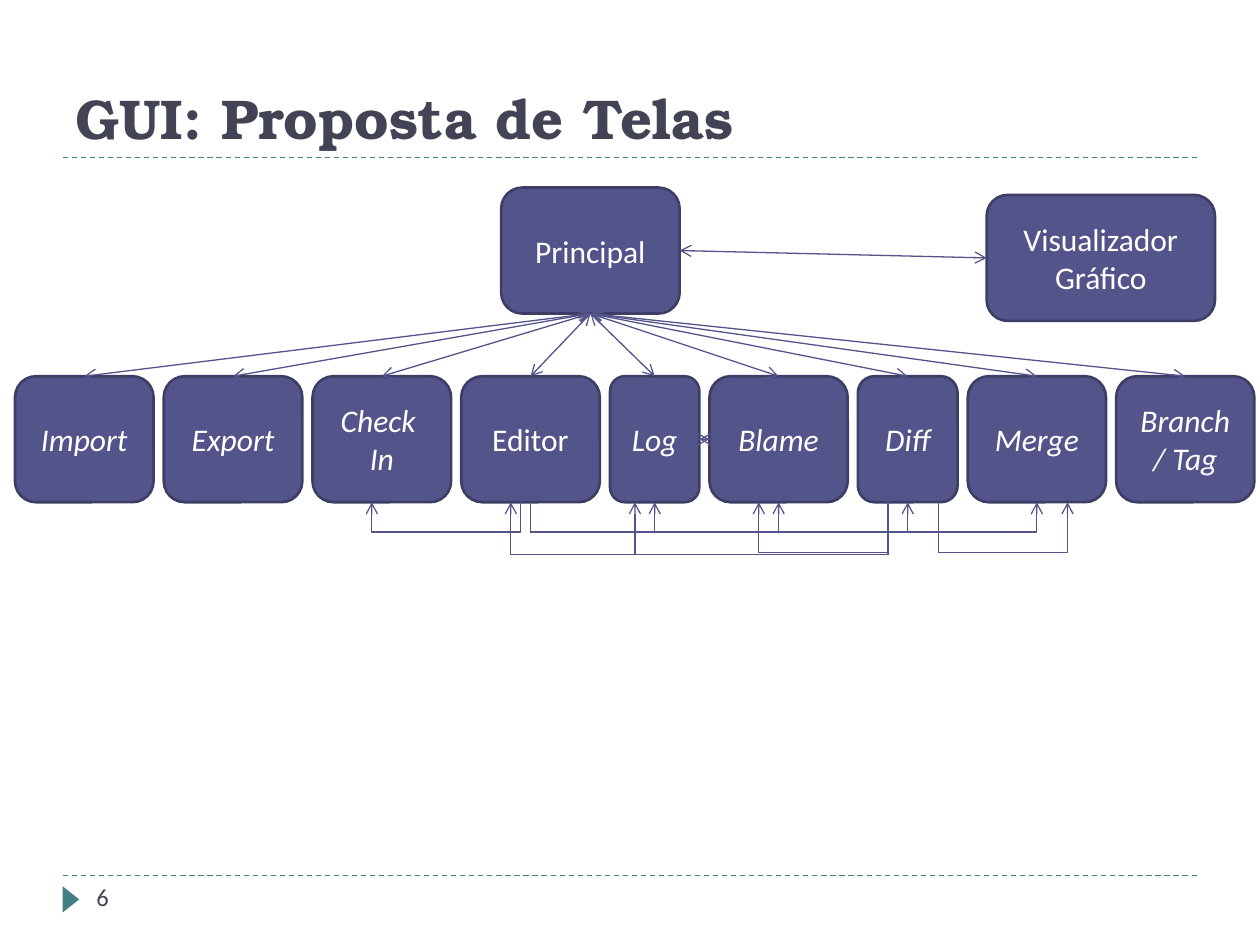
from lxml import etree
from pptx import Presentation
from pptx.dml.color import RGBColor
from pptx.enum import dml, shapes, text
from pptx.oxml import ns
from pptx.util import Pt

INDIGO, EDGE, TEAL, SLATE, WHITE = "53548A", "3D3E66", "438086", "424456", "FFFFFF"
TITLE = "GUI: Proposta de Telas"
PAGE_NUMBER = "6"

# name, text, width, italic
SCREENS = [
    ("import", "Import", 79.2, True),
    ("export", "Export", 79.2, True),
    ("check in", "Check \nIn", 79.2, True),
    ("editor", "Editor", 79.2, False),
    ("log", "Log", 51, True),
    ("blame", "Blame", 79, True),
    ("diff", "Diff", 57, True),
    ("merge", "Merge", 79, True),
    ("branch", "Branch/ Tag", 79, True),
]
ROW_LEFT, ROW_TOP, ROW_GAP, BOX_HEIGHT = 8.6, 215, 5.8, 72
MAIN_BOX = (286.4, 107.2, 102, BOX_HEIGHT)
VIEWER_BOX = (563.8, 111.4, 130.5, BOX_HEIGHT)

# start screen, offset from its centre, end screen, offset, drop below the row
ELBOWS = [
    ("editor", -5.7, "check in", -5.7, 18),
    ("editor", 0, "log", 0, 18),
    ("editor", 0, "blame", 0, 18),
    ("editor", 0, "diff", 0, 18),
    ("editor", 0, "merge", 0, 18),
    ("diff", 17.5, "merge", 17.5, 30.5),
    ("diff", -11.3, "blame", -11.3, 30.5),
    ("diff", -11.3, "log", -11.3, 31.7),
    ("diff", -11.3, "editor", -11.3, 31.7),
]
ELBOW_DEPTH = 0.12


def color(hex_code):
    return RGBColor.from_string(hex_code)


def write(frame, content, size, font="Calibri", fill=WHITE, bold=False, italic=False,
          align=text.PP_ALIGN.LEFT, anchor=text.MSO_ANCHOR.TOP):
    frame.word_wrap = True
    frame.auto_size = text.MSO_AUTO_SIZE.NONE
    frame.vertical_anchor = anchor
    frame.text = content
    for paragraph in frame.paragraphs:
        paragraph.alignment = align
        for run in paragraph.runs:
            run.font.name, run.font.size = font, Pt(size)
            run.font.bold, run.font.italic = bold, italic
            run.font.color.rgb = color(fill)


def add_screen(slide, box, content, italic=False):
    shape = slide.shapes.add_shape(shapes.MSO_SHAPE.ROUNDED_RECTANGLE, *map(Pt, box))
    shape.shadow.inherit = False
    shape.fill.solid()
    shape.fill.fore_color.rgb = color(INDIGO)
    shape.line.color.rgb = color(EDGE)
    shape.line.width = Pt(1.5)
    write(shape.text_frame, content, 18, italic=italic,
          align=text.PP_ALIGN.CENTER, anchor=text.MSO_ANCHOR.MIDDLE)


def add_line(slide, start, end, stroke=INDIGO, arrows=(), kind=shapes.MSO_CONNECTOR.STRAIGHT):
    line = slide.shapes.add_connector(kind, *map(Pt, (*start, *end)))
    line.line.color.rgb = color(stroke)
    line.line.width = Pt(0.75)
    outline = line.line._get_or_add_ln()
    for end_name in arrows:
        etree.SubElement(outline, ns.qn("a:" + end_name), type="arrow")
    etree.SubElement(line._element.spPr, ns.qn("a:effectLst"))
    return line


def add_elbow(slide, start_x, end_x, y, drop):
    """U-shaped arrow: an elbow turned on its side, so its depth runs downwards."""
    middle, span = (start_x + end_x) / 2, abs(end_x - start_x)
    left, top = middle - ELBOW_DEPTH / 2, y - span / 2
    elbow = add_line(slide, (left, top), (left + ELBOW_DEPTH, top + span),
                     arrows=["tailEnd"], kind=shapes.MSO_CONNECTOR.ELBOW)
    properties = elbow._element.spPr
    transform = properties.find(ns.qn("a:xfrm"))
    if end_x > start_x:
        transform.set("rot", str(270 * 60000))
        transform.set("flipH", "1")
    else:
        transform.set("rot", str(90 * 60000))
    guides = properties.find(ns.qn("a:prstGeom")).find(ns.qn("a:avLst"))
    etree.SubElement(guides, ns.qn("a:gd"), name="adj1",
                     fmla=f"val {round(drop / ELBOW_DEPTH * 100000)}")


def add_frame(slide):
    for y in (500.4, 90):
        rule = add_line(slide, (36, y), (684, y), stroke=TEAL)
        rule.line.dash_style = dml.MSO_LINE.DASH
    marker = slide.shapes.add_shape(shapes.MSO_SHAPE.ISOSCELES_TRIANGLE,
                                    *map(Pt, (33, 509.2, 15, 9.5)))
    marker.rotation = 90
    marker.shadow.inherit = False
    marker.fill.solid()
    marker.fill.fore_color.rgb = color(TEAL)
    marker.line.fill.background()
    title = slide.shapes.title
    title.left, title.top, title.width, title.height = map(Pt, (36, 12.2, 648, 77.8))
    write(title.text_frame, TITLE, 32, font="TeX Gyre Bonum", fill=SLATE, bold=True,
          anchor=text.MSO_ANCHOR.BOTTOM)
    number = slide.shapes.add_textbox(*map(Pt, (48, 500.4, 156, 28.8)))
    write(number.text_frame, PAGE_NUMBER, 14, fill=SLATE)


def main():
    presentation = Presentation()
    presentation.slide_width, presentation.slide_height = Pt(720), Pt(540)
    slide = presentation.slides.add_slide(presentation.slide_layouts[5])
    add_frame(slide)

    add_screen(slide, MAIN_BOX, "Principal")
    add_screen(slide, VIEWER_BOX, "Visualizador Gráfico")
    boxes, left = {}, ROW_LEFT
    for name, label, width, italic in SCREENS:
        boxes[name] = (left, ROW_TOP, width, BOX_HEIGHT)
        add_screen(slide, boxes[name], label, italic)
        left += width + ROW_GAP
    centers = {name: box[0] + box[2] / 2 for name, box in boxes.items()}

    both = ["headEnd", "tailEnd"]
    main_left, main_top, main_width, main_height = MAIN_BOX
    hub = (main_left + main_width / 2, main_top + main_height)
    for center in centers.values():
        add_line(slide, (center, ROW_TOP), hub, arrows=both)
    add_line(slide, (main_left + main_width, main_top + main_height / 2),
             (VIEWER_BOX[0], VIEWER_BOX[1] + BOX_HEIGHT / 2), arrows=both)
    row_middle = ROW_TOP + BOX_HEIGHT / 2
    add_line(slide, (boxes["log"][0] + boxes["log"][2], row_middle),
             (boxes["blame"][0], row_middle), arrows=both)
    for start, start_offset, end, end_offset, drop in ELBOWS:
        add_elbow(slide, centers[start] + start_offset, centers[end] + end_offset,
                  ROW_TOP + BOX_HEIGHT, drop)

    presentation.save("out.pptx")


if __name__ == "__main__":
    main()
